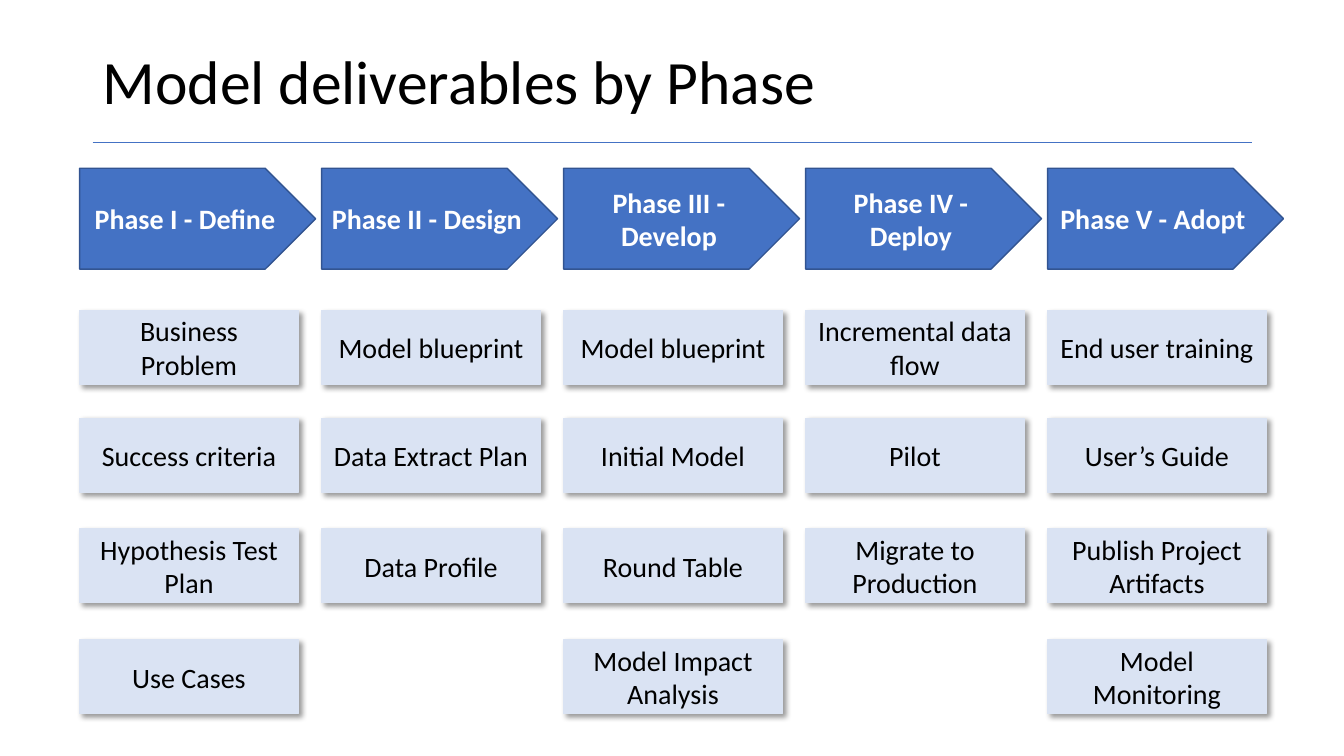
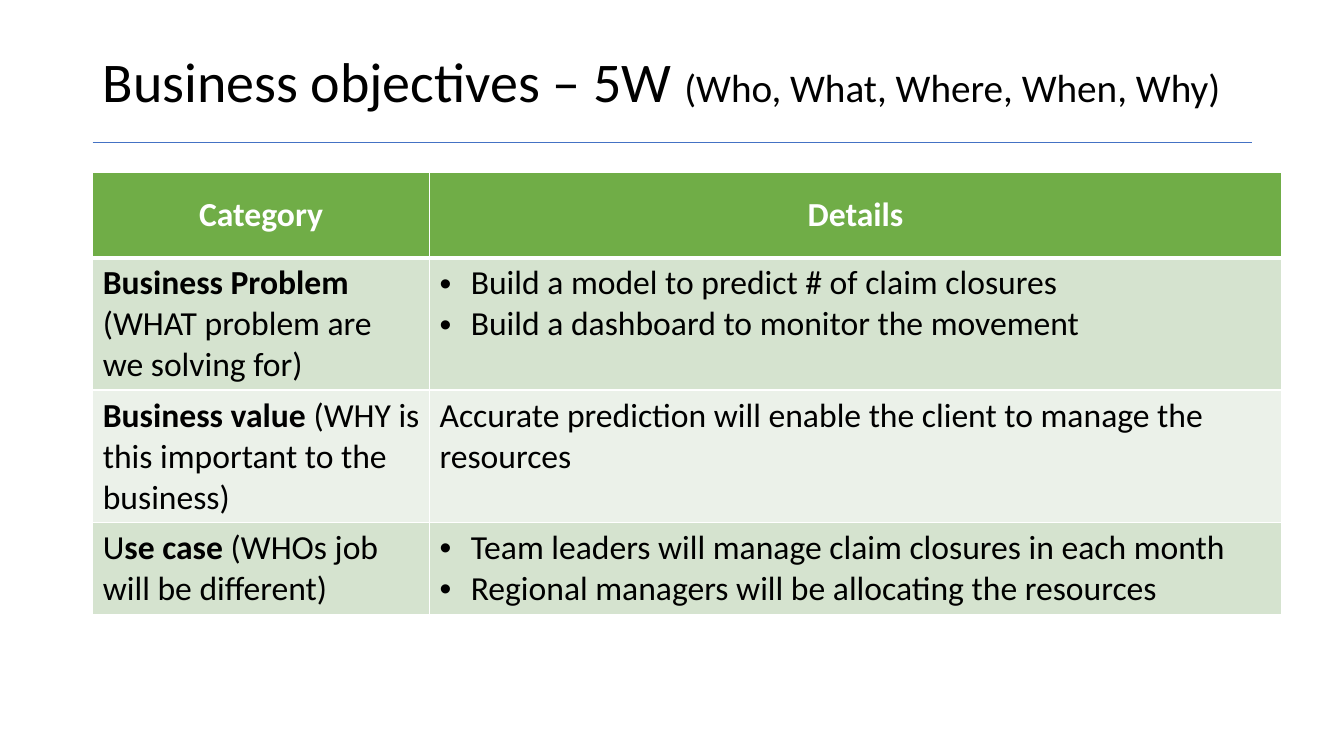
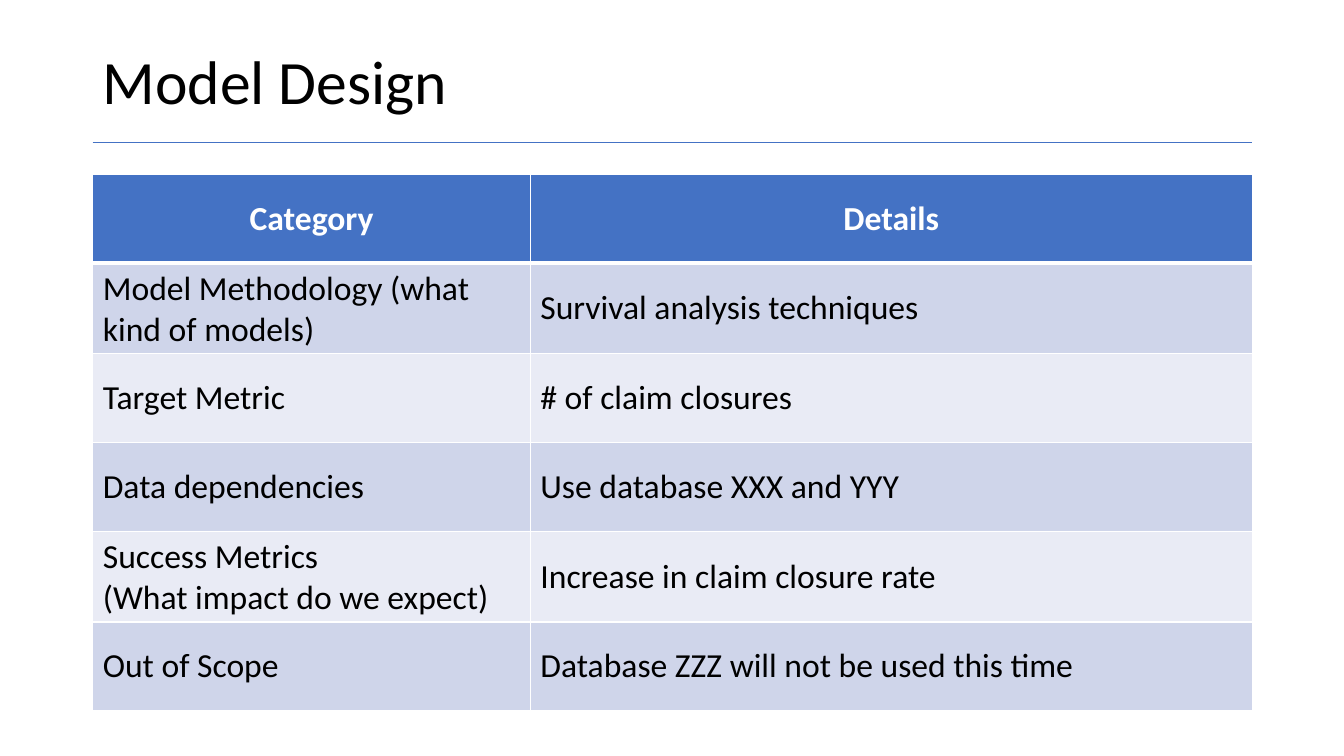
"""Build three slides on model phases, business goals and model design."""
from dataclasses import dataclass

import lxml.etree
import pptx
import pptx.dml.color
import pptx.enum.shapes
import pptx.enum.text
import pptx.oxml.ns
import pptx.util

Inches = pptx.util.Inches
Pt = pptx.util.Pt
SHAPE = pptx.enum.shapes.MSO_SHAPE
ALIGN = pptx.enum.text.PP_ALIGN
ANCHOR = pptx.enum.text.MSO_ANCHOR

FONT = "Calibri"
BLACK, WHITE = "000000", "FFFFFF"
BLUE, NAVY, PALE = "4472C4", "325491", "DAE3F3"
LEFT, WIDTH = 0.92, 11.5


@dataclass(frozen=True)
class Run:
    text: str
    size: float = 24
    bold: bool = False
    color: str = BLACK


@dataclass(frozen=True)
class Para:
    runs: tuple[Run, ...]
    align: ALIGN = ALIGN.LEFT
    bullet: bool = False
    space: float = 1.0


@dataclass(frozen=True)
class Box:
    kind: SHAPE
    width: float
    height: float
    fill: str
    line: str
    ink: str
    bold: bool
    shade: bool


@dataclass(frozen=True)
class Grid:
    top: float
    cols: tuple[float, ...]
    rows: tuple[float, ...]
    head: str
    bands: tuple[str, str]
    anchor: ANCHOR
    cells: tuple[tuple[tuple[Para, ...], ...], ...]


@dataclass(frozen=True)
class Phase:
    name: str
    tasks: tuple[str, ...]


PHASE = Box(SHAPE.PENTAGON, 2.34, 1, BLUE, NAVY, WHITE, True, False)
TASK = Box(SHAPE.RECTANGLE, 2.17, 0.73, PALE, PALE, BLACK, False, True)
TOPS = (3.08, 4.15, 5.25, 6.35)
PHASES = (
    Phase("Phase I - Define", ("Business Problem", "Success criteria",
                               "Hypothesis Test Plan", "Use Cases")),
    Phase("Phase II - Design", ("Model blueprint", "Data Extract Plan",
                                "Data Profile")),
    Phase("Phase III - Develop", ("Model blueprint", "Initial Model",
                                  "Round Table", "Model Impact Analysis")),
    Phase("Phase IV - Deploy", ("Incremental data flow", "Pilot",
                                "Migrate to Production")),
    Phase("Phase V - Adopt", ("End user training", "User’s Guide",
                              "Publish Project Artifacts", "Model Monitoring")),
)


def rgb(code: str) -> pptx.dml.color.RGBColor:
    """Turn a hex string into a colour."""
    return pptx.dml.color.RGBColor.from_string(code)


def node(parent, tag: str, **attrs: str):
    """Add a drawing element below a parent."""
    return lxml.etree.SubElement(parent, pptx.oxml.ns.qn(f"a:{tag}"), attrs)


def write(frame, paras: tuple[Para, ...]) -> None:
    """Fill a text frame run by run."""
    frame.word_wrap = True
    for i, para in enumerate(paras):
        line = frame.add_paragraph() if i else frame.paragraphs[0]
        line.alignment = para.align
        line.line_spacing = para.space
        if para.bullet:
            props = line._p.get_or_add_pPr()
            indent = Inches(0.31)
            props.set("marL", str(indent))
            props.set("indent", str(-indent))
            node(props, "buFont", typeface="Arial")
            node(props, "buChar", char="•")
        for part in para.runs:
            run = line.add_run()
            run.text = part.text
            run.font.name = FONT
            run.font.size = Pt(part.size)
            run.font.bold = part.bold
            run.font.color.rgb = rgb(part.color)


def start(deck, *title: Run, width: float = WIDTH):
    """Add a slide with its title and rule."""
    slide = deck.slides.add_slide(deck.slide_layouts[6])
    rule = slide.shapes.add_connector(
        pptx.enum.shapes.MSO_CONNECTOR.STRAIGHT,
        Inches(LEFT), Inches(1.41), Inches(LEFT + WIDTH), Inches(1.41))
    rule.line.color.rgb = rgb(BLUE)
    rule.line.width = Pt(0.5)
    node(rule._element.spPr, "effectLst")
    frame = slide.shapes.add_textbox(
        Inches(LEFT), Inches(0.4), Inches(width), Inches(0.87)).text_frame
    frame.vertical_anchor = ANCHOR.MIDDLE
    write(frame, (Para(title, space=0.9),))
    return slide


def draw(slide, box: Box, left: float, top: float, text: str) -> None:
    """Draw one labelled box."""
    shape = slide.shapes.add_shape(
        box.kind, Inches(left), Inches(top), Inches(box.width), Inches(box.height))
    shape.shadow.inherit = False
    shape.fill.solid()
    shape.fill.fore_color.rgb = rgb(box.fill)
    shape.line.color.rgb = rgb(box.line)
    shape.line.width = Pt(1)
    if box.shade:
        effects = shape._element.spPr.find(pptx.oxml.ns.qn("a:effectLst"))
        shade = node(effects, "outerShdw", blurRad=str(Pt(4)), dist=str(Pt(3)),
                     dir="2700000", algn="tl", rotWithShape="0")
        node(node(shade, "srgbClr", val=BLACK), "alpha", val="40000")
    shape.text_frame.vertical_anchor = ANCHOR.MIDDLE
    write(shape.text_frame,
          (Para((Run(text, 20, box.bold, box.ink),), ALIGN.CENTER),))


def edge(cell, row: int) -> None:
    """Give a cell white borders, thick below the head."""
    widths = {"lnL": 1, "lnR": 1, "lnT": 3 if row == 1 else 1,
              "lnB": 3 if row == 0 else 1}
    for tag, width in widths.items():
        line = node(cell._tc.get_or_add_tcPr(), tag, w=str(Pt(width)))
        node(node(line, "solidFill"), "srgbClr", val=WHITE)


def lay(slide, grid: Grid) -> None:
    """Lay out a table with a head and banded rows."""
    table = slide.shapes.add_table(
        len(grid.rows), len(grid.cols), Inches(LEFT), Inches(grid.top),
        Inches(sum(grid.cols)), Inches(sum(grid.rows))).table
    for col, width in zip(table.columns, grid.cols):
        col.width = Inches(width)
    head = tuple((Para((Run(name, bold=True, color=WHITE),), ALIGN.CENTER),)
                 for name in ("Category", "Details"))
    for i, texts in enumerate((head, *grid.cells)):
        table.rows[i].height = Inches(grid.rows[i])
        for j, paras in enumerate(texts):
            cell = table.cell(i, j)
            edge(cell, i)
            cell.fill.solid()
            cell.fill.fore_color.rgb = rgb(grid.bands[(i - 1) % 2] if i else grid.head)
            cell.vertical_anchor = grid.anchor if i else ANCHOR.MIDDLE
            write(cell.text_frame, paras)


def plain(*lines: str, bullet: bool = False) -> tuple[Para, ...]:
    """Make one plain paragraph per line."""
    return tuple(Para((Run(line),), bullet=bullet) for line in lines)


GOALS = Grid(
    1.71, (3.34, 8.45), (0.85, 1.31, 1.31, 0.92), "70AD47",
    ("D5E3CF", "EBF1E9"), ANCHOR.TOP, (
        ((Para((Run("Business Problem", bold=True),)),
          *plain("(WHAT problem are we solving for)")),
         plain("Build a model to predict # of claim closures",
               "Build a dashboard to monitor the movement", bullet=True)),
        ((Para((Run("Business value", bold=True),
                Run(" (WHY is this important to the business)"))),),
         plain("Accurate prediction will enable the client to manage the resources")),
        ((Para((Run("U"), Run("se case", bold=True),
                Run(" (WHOs job will be different)"))),),
         plain("Team leaders will manage claim closures in each month",
               "Regional managers will be allocating the resources", bullet=True)),
    ))

DESIGN = Grid(
    1.73, (4.34, 7.16), (0.88,) * 6, BLUE,
    ("CFD5EA", "E9EBF5"), ANCHOR.MIDDLE, (
        (plain("Model Methodology (what kind of models)"),
         plain("Survival analysis techniques")),
        (plain("Target Metric"), plain("# of claim closures")),
        (plain("Data dependencies"), plain("Use database XXX and YYY")),
        (plain("Success Metrics", "(What impact do we expect)"),
         plain("Increase in claim closure rate")),
        (plain("Out of Scope"), plain("Database ZZZ will not be used this time")),
    ))


def main() -> None:
    """Build and save the deck."""
    deck = pptx.Presentation()
    deck.slide_width, deck.slide_height = Inches(13.33), Inches(7.5)

    slide = start(deck, Run("Model deliverables by Phase", 44))
    for i, phase in enumerate(PHASES):
        left = 0.79 + 2.4 * i
        draw(slide, PHASE, left, 1.67, phase.name)
        for top, task in zip(TOPS, phase.tasks):
            draw(slide, TASK, left, top, task)

    lay(start(deck, Run("Business objectives – 5W ", 40),
              Run("(Who, What, Where, When, Why)", 28), width=sum(GOALS.cols)), GOALS)
    lay(start(deck, Run("Model Design", 44)), DESIGN)
    deck.save("out.pptx")


if __name__ == "__main__":
    main()
